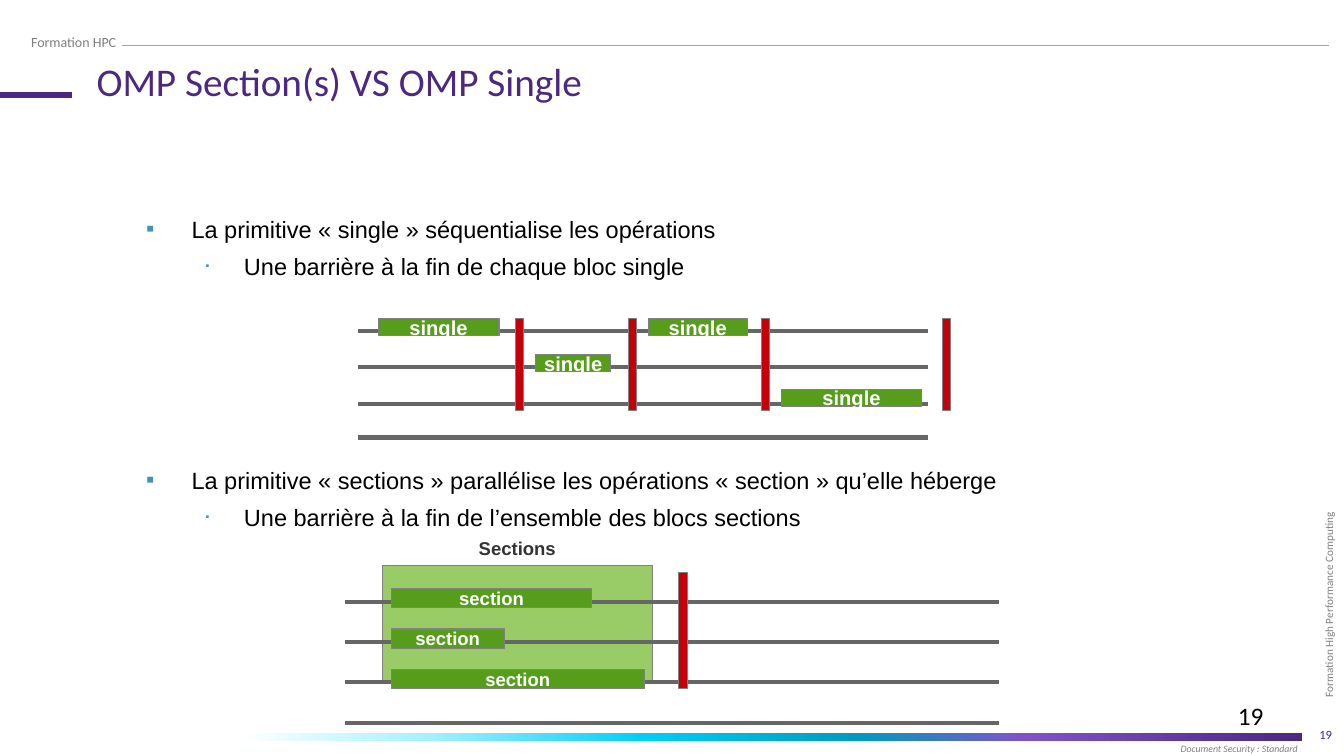
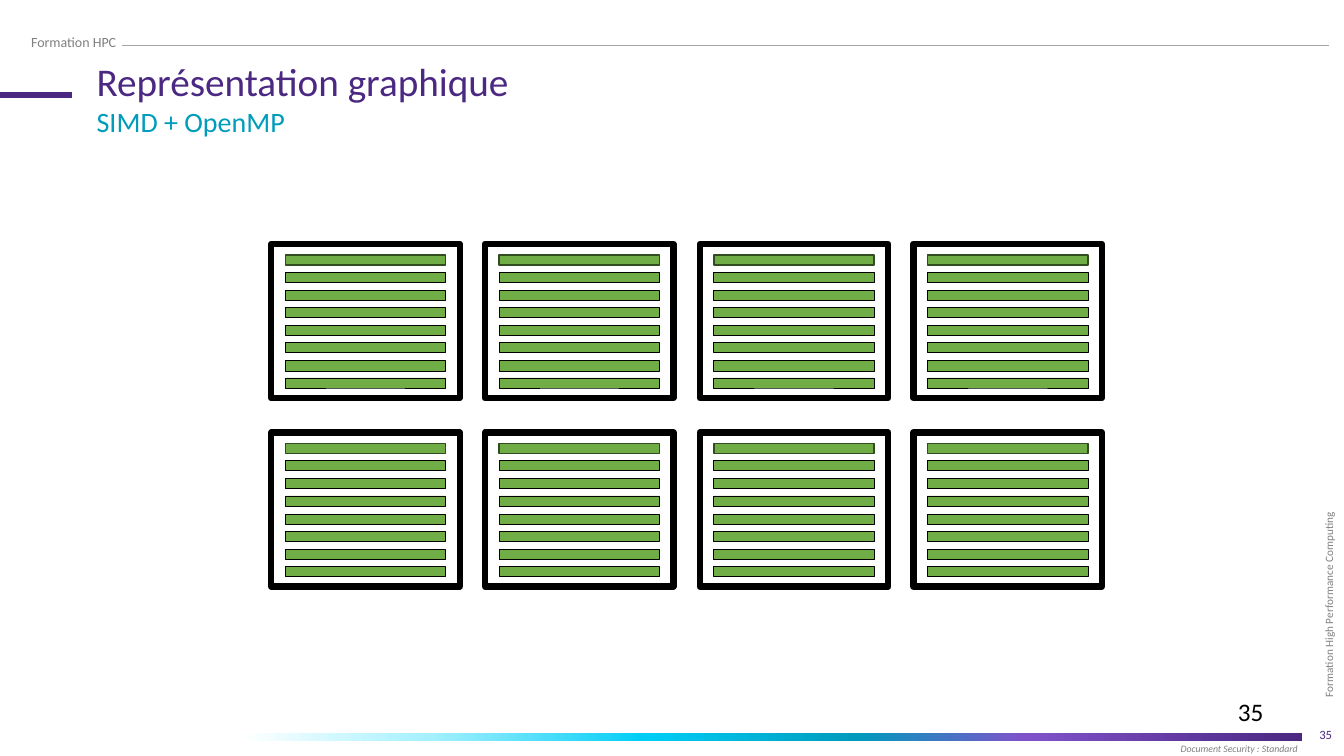
from dataclasses import dataclass

from lxml import etree
from pptx import Presentation
from pptx.dml.color import RGBColor
from pptx.enum.shapes import MSO_CONNECTOR, MSO_SHAPE
from pptx.enum.text import MSO_ANCHOR, PP_ALIGN
from pptx.oxml.ns import qn
from pptx.util import Emu, Pt

PX = 9144  # 100 px to the inch
RECT, STRAIGHT = MSO_SHAPE.RECTANGLE, MSO_CONNECTOR.STRAIGHT
TOP, MIDDLE = MSO_ANCHOR.TOP, MSO_ANCHOR.MIDDLE
LEFT, CENTER, RIGHT = PP_ALIGN.LEFT, PP_ALIGN.CENTER, PP_ALIGN.RIGHT

COLORS = {
    "purple": "4B2882", "teal": "009CBC", "grey": "808080", "rule": "A6A6A6",
    "black": "000000", "white": "FFFFFF", "dark": "333333", "bullet": "4590B8",
    "thread": "666666", "task": "579D1C", "region": "99CC66", "barrier": "C5000B",
    "lane": "70AD47", "lane_edge": "314C1F",
}
BAND_STOPS = ((0, "FFFFFF"), (18, "A3F0FF"), (38, "00CDF6"),
              (58, "009BBC"), (74, "8052CA"), (100, "4B2882"))
HEADING, BODY = "Calibri", "Arial"


@dataclass(frozen=True)
class Box:
    x: int
    y: int
    w: int
    h: int


@dataclass(frozen=True)
class Timeline:
    """Threads drawn as lines, with tasks and barriers laid over them."""
    x1: int
    x2: int
    threads: tuple[int, ...]
    label: str
    size: float
    tasks: tuple[Box, ...]
    barriers: tuple[Box, ...]


SINGLE = Timeline(
    355, 920, (328, 364, 401, 434), "single", 14.4,
    (Box(375, 316, 120, 17), Box(531, 352, 75, 17),
     Box(643, 316, 98, 17), Box(775, 386, 139, 17)),
    tuple(Box(x, 316, 8, 91) for x in (511, 623, 755, 935)),
)
SECTIONS = Timeline(
    342, 991, tuple(range(597, 718, 40)), "section", 13.2,
    tuple(Box(388, 584 + 40 * i, w, 19) for i, w in enumerate((199, 112, 251))),
    (Box(673, 568, 9, 115),),
)
REGION = Box(379, 561, 268, 117)


def rgb(name: str) -> RGBColor:
    return RGBColor.from_string(COLORS[name])


def emu(box: Box) -> tuple[Emu, ...]:
    return tuple(Emu(v * PX) for v in (box.x, box.y, box.w, box.h))


# Text
def write(tf, text: str, *, size: float, color: str = "black", font: str = HEADING,
          bold: bool = False, italic: bool = False, align=LEFT,
          spacing: float = 1.0, before: float = 0):
    p = tf.paragraphs[0] if not tf.text else tf.add_paragraph()
    p.alignment, p.line_spacing, p.space_before = align, spacing, Pt(before)
    r = p.add_run()
    r.text = text
    f = r.font
    f.size, f.name, f.bold, f.italic = Pt(size), font, bold, italic
    f.color.rgb = rgb(color)
    return p


def set_frame(tf, anchor, wrap: bool, inset: tuple[int, int]) -> None:
    tf.vertical_anchor, tf.word_wrap = anchor, wrap
    tf.margin_left = tf.margin_right = Emu(inset[0] * PX)
    tf.margin_top = tf.margin_bottom = Emu(inset[1] * PX)


def text_box(slide, box: Box, text: str = "", *, anchor=TOP, wrap: bool = True,
             inset: tuple[int, int] = (10, 5), **fmt):
    sp = slide.shapes.add_textbox(*emu(box))
    set_frame(sp.text_frame, anchor, wrap, inset)
    if text:
        write(sp.text_frame, text, **fmt)
    return sp


def add_bullet(p, level: int) -> None:
    p.level = level
    left, hang, size = ((45, 45, 100), (97, 38, 45))[level]
    pPr = p._p.get_or_add_pPr()
    pPr.set("marL", str(left * PX))
    pPr.set("indent", str(-hang * PX))
    clr = etree.SubElement(pPr, qn("a:buClr"))
    etree.SubElement(clr, qn("a:srgbClr"), val=COLORS["bullet"])
    etree.SubElement(pPr, qn("a:buSzPct"), val=str(size * 1000))
    etree.SubElement(pPr, qn("a:buFont"), typeface=BODY)
    etree.SubElement(pPr, qn("a:buChar"), char="▪")


def bullets(slide, y: int, point: str, detail: str) -> None:
    tf = text_box(slide, Box(133, y, 1067, 75), inset=(12, 6)).text_frame
    for level, text in enumerate((point, detail)):
        p = write(tf, text, size=16.8, font=BODY, before=6.2 * level)
        add_bullet(p, level)


# Shapes
def rect(slide, box: Box, fill: str | None = None, line: str | None = None,
         width: float = 0.75):
    sp = slide.shapes.add_shape(RECT, *emu(box))
    sp.shadow.inherit = False
    if fill:
        sp.fill.solid()
        sp.fill.fore_color.rgb = rgb(fill)
    else:
        sp.fill.background()
    if line:
        sp.line.color.rgb = rgb(line)
        sp.line.width = Pt(width)
    else:
        sp.line.fill.background()
    return sp


def h_line(slide, x1: int, x2: int, y: int, color: str, width: float) -> None:
    cx = slide.shapes.add_connector(STRAIGHT, *(Emu(v * PX) for v in (x1, y, x2, y)))
    cx.line.color.rgb = rgb(color)
    cx.line.width = Pt(width)
    etree.SubElement(cx._element.spPr, qn("a:effectLst"))


def gradient_band(slide, box: Box) -> None:
    sp = rect(slide, box)
    sp.fill.gradient()
    sp.fill.gradient_angle = 0
    stops = sp._element.spPr.find(qn("a:gradFill")).find(qn("a:gsLst"))
    for gs in list(stops):
        stops.remove(gs)
    for pos, color in BAND_STOPS:
        gs = etree.SubElement(stops, qn("a:gs"), pos=str(pos * 1000))
        etree.SubElement(gs, qn("a:srgbClr"), val=color)


# Parts shared by the slides
def new_slide(prs, title: str, number: int, number_y: int):
    slide = prs.slides.add_slide(prs.slide_layouts[6])
    side = text_box(slide, Box(1190, 557, 253, 36), "Formation High Performance Computing",
                    anchor=MIDDLE, inset=(10, 10), size=8, color="grey", spacing=1.2)
    side.rotation = 270
    text_box(slide, Box(1031, 709, 300, 40), str(number), anchor=MIDDLE,
             size=9, color="purple", align=RIGHT)
    text_box(slide, Box(1167, 733, 126, 20), "Document Security : Standard", anchor=MIDDLE,
             wrap=False, inset=(4, 4), size=7, color="grey", italic=True)
    gradient_band(slide, Box(240, 727, 1051, 8))
    text_box(slide, Box(21, 28, 191, 27), "Formation HPC", size=10, color="grey")
    h_line(slide, 121, 1318, 45, "rule", 0.5)
    h_line(slide, 0, 71, 94, "purple", 4.5)
    text_box(slide, Box(86, 57, 558, 36), title, size=28, color="purple", spacing=0.9)
    text_box(slide, Box(1218, number_y, 115, 40), str(number), size=18)
    return slide


# Slide content
def draw_timeline(slide, t: Timeline) -> None:
    for y in t.threads:
        h_line(slide, t.x1, t.x2, y, "thread", 3)
    for box in t.tasks:
        tf = rect(slide, box, "task", "grey").text_frame
        set_frame(tf, MIDDLE, False, (0, 0))
        write(tf, t.label, size=t.size, color="white", font=BODY, bold=True, align=CENTER)
    for box in t.barriers:
        rect(slide, box, "barrier", "grey")


def draw_core(slide, core: Box) -> None:
    rect(slide, core, line="black", width=4.5)
    lane_w = 159
    x = core.x + (core.w - lane_w) // 2
    for i in range(8):
        edge, width = ("black", 0.5) if i else ("lane_edge", 1)
        rect(slide, Box(x, core.y + 11 + 35 * i // 2, lane_w, 10), "lane", edge, width)


def single_slide(prs) -> None:
    slide = new_slide(prs, "OMP Section(s) VS OMP Single", 19, 690)
    bullets(slide, 207, "La primitive « single » séquentialise les opérations",
            "Une barrière à la fin de chaque bloc single")
    bullets(slide, 456,
            "La primitive « sections » parallélise les opérations « section » qu’elle héberge",
            "Une barrière à la fin de l’ensemble des blocs sections")
    rect(slide, REGION, "region", "grey")
    text_box(slide, Box(REGION.x, REGION.y - 30, REGION.w, 26), "Sections", anchor=MIDDLE,
             inset=(0, 0), size=13.2, color="dark", font=BODY, bold=True, align=CENTER)
    draw_timeline(slide, SECTIONS)
    draw_timeline(slide, SINGLE)


def simd_slide(prs) -> None:
    slide = new_slide(prs, "Représentation graphique", 35, 686)
    text_box(slide, Box(86, 103, 558, 43), "SIMD + OpenMP", size=20, color="teal", spacing=0.9)
    for row in range(2):
        for col in range(4):
            draw_core(slide, Box(269 + 425 * col // 2, 242 + 187 * row, 187, 153))


def main() -> None:
    prs = Presentation()
    prs.slide_width, prs.slide_height = Emu(1333 * PX), Emu(750 * PX)
    single_slide(prs)
    simd_slide(prs)
    prs.save("out.pptx")


if __name__ == "__main__":
    main()
